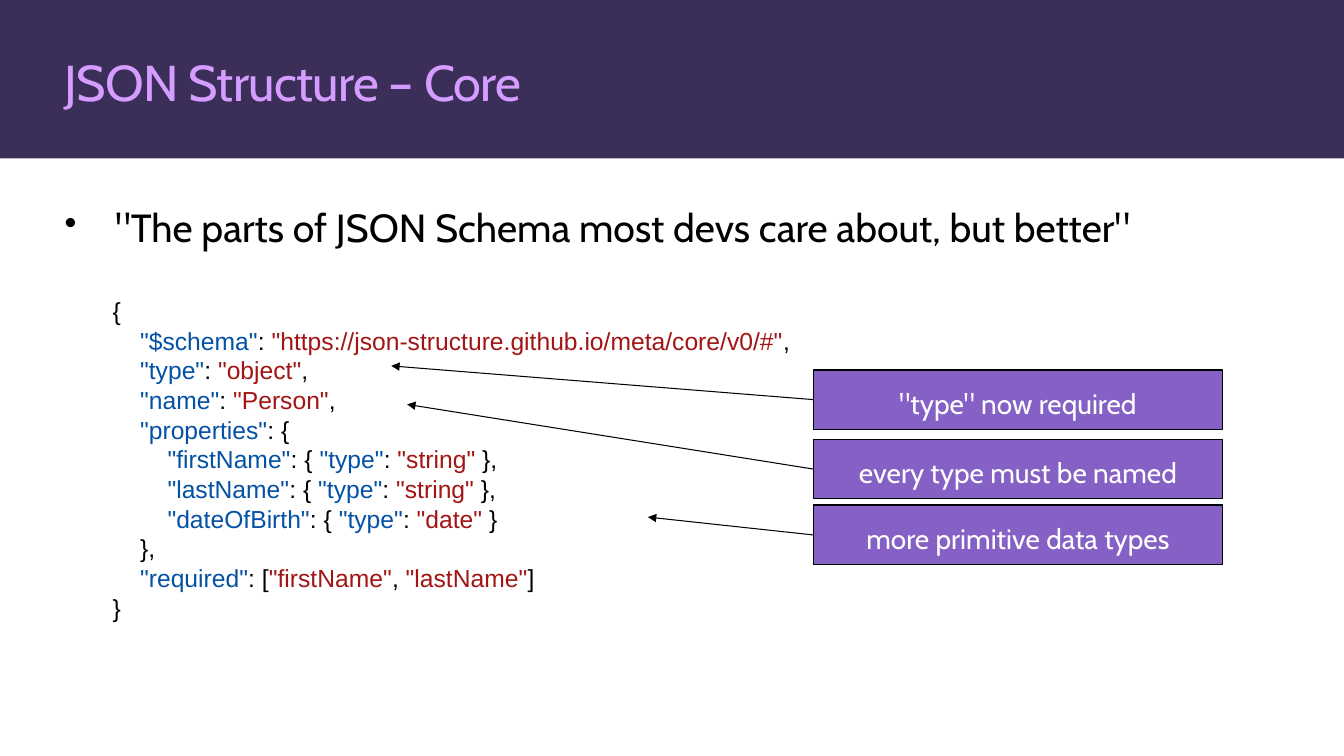
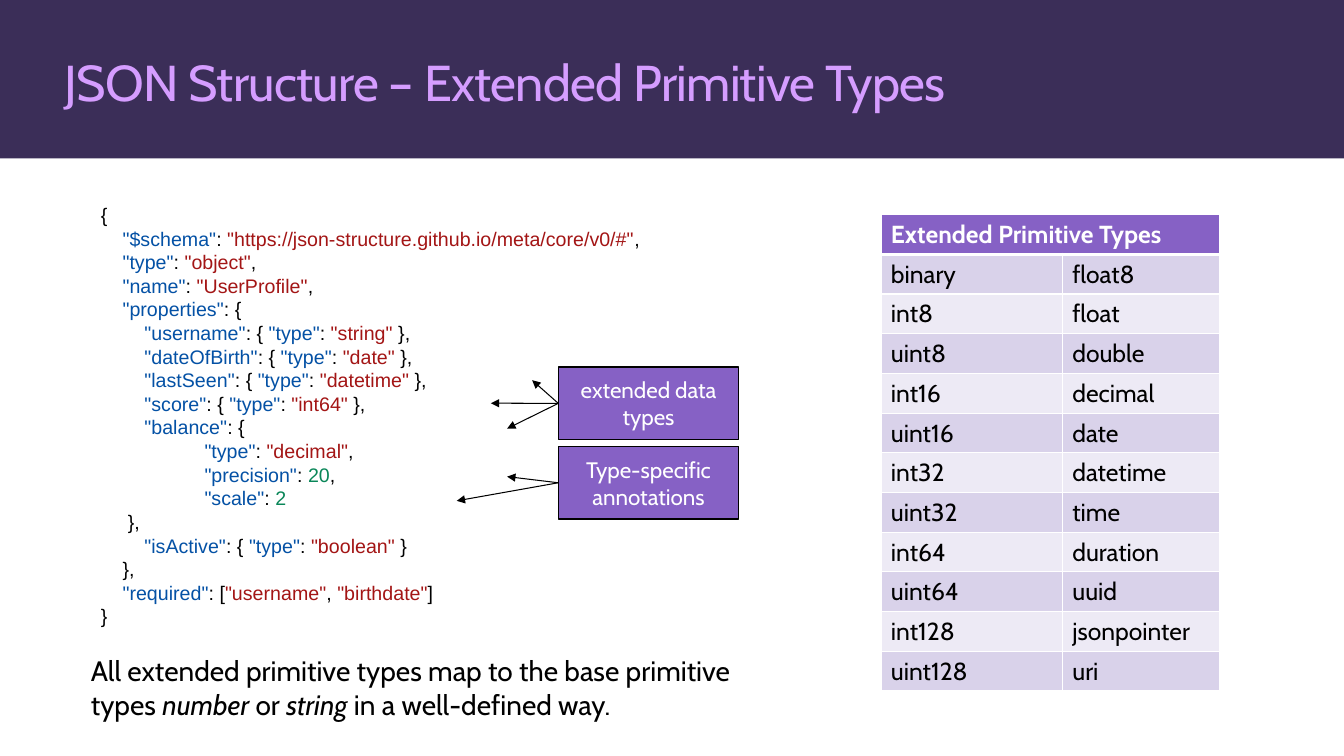
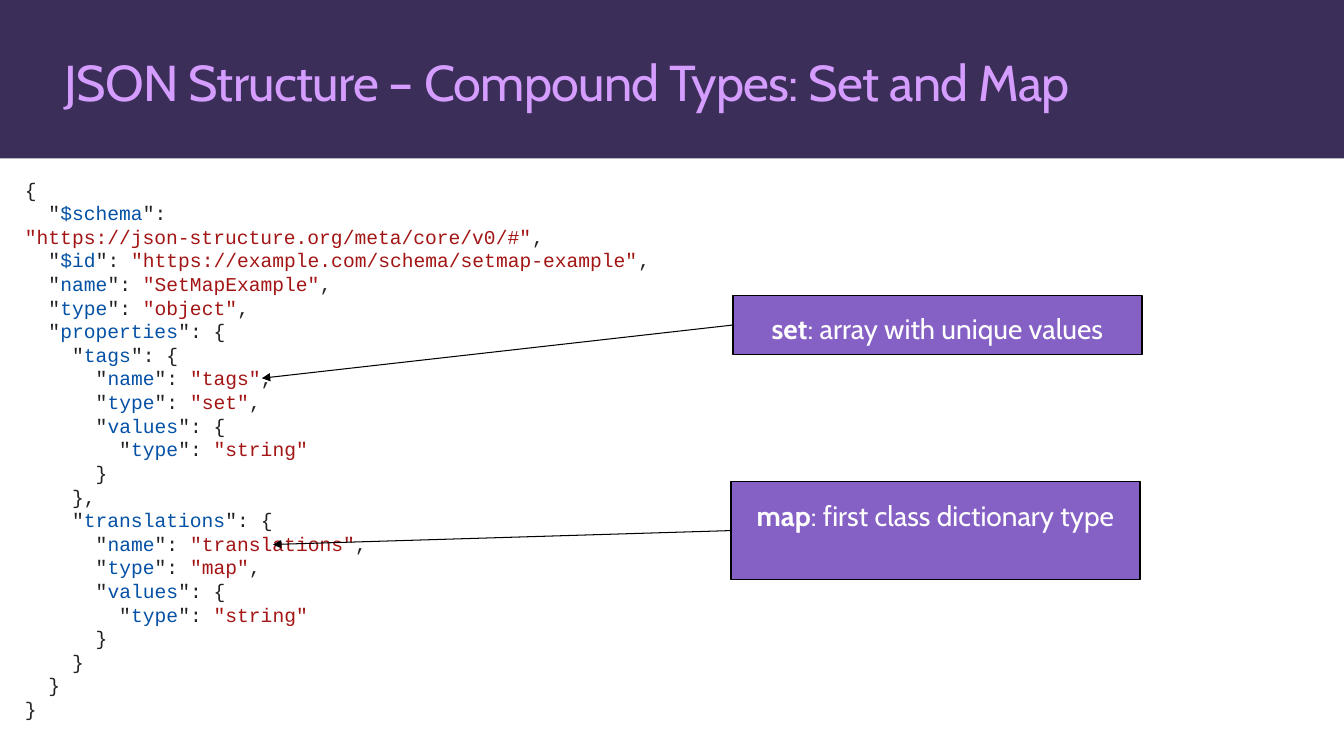
"""Builds three slides on the JSON Structure type system."""
from dataclasses import dataclass
from itertools import groupby

from lxml.etree import SubElement
from pptx import Presentation
from pptx.dml.color import RGBColor
from pptx.enum.shapes import MSO_CONNECTOR, MSO_SHAPE
from pptx.enum.text import MSO_ANCHOR, PP_ALIGN
from pptx.oxml.ns import qn
from pptx.util import Cm, Pt


@dataclass(frozen=True)
class Theme:
    font: str = "Cabin"
    band: str = "3B2E58"
    title: str = "D59DFF"
    accent: str = "8661C5"
    row_dark: str = "D9D2EA"
    row_light: str = "EDEAF5"
    black: str = "000000"
    white: str = "FFFFFF"
    mono_ink: str = "222222"
    key: str = "0451A5"
    value: str = "A31515"
    number: str = "098658"
    title_size: float = 36
    body_size: float = 28
    note_size: float = 20
    label_size: float = 16
    table_size: float = 17.6
    code_leading: float = 1.205


class Deck:
    def __init__(self, theme):
        self.t = theme
        self.prs = Presentation()
        self.prs.slide_width, self.prs.slide_height = Cm(33.87), Cm(19.05)
        self.s = None

    def slide(self, title):
        self.s = self.prs.slides.add_slide(self.prs.slide_layouts[6])
        self.rect(0, 0, 33.87, 3.99, self.t.band)
        tf = self.text(1.63, 1.27, 30.61, 1.55, [title], self.t.title_size, self.t.title)
        tf.vertical_anchor = MSO_ANCHOR.MIDDLE
        for r in tf.paragraphs[0].runs:
            r._r.get_or_add_rPr().set("spc", "-50")

    def run(self, p, text, size, color, font=None, bold=False, italic=False):
        r = p.add_run()
        r.text = text
        r.font.name = font or self.t.font
        r.font.size = Pt(size)
        r.font.bold, r.font.italic = bold, italic
        r.font.color.rgb = RGBColor.from_string(color)

    def runs(self, p, parts, size, color):
        for part in parts:
            text, style = (part, {}) if isinstance(part, str) else part
            self.run(p, text, size, color, **style)

    def frame(self, sp, inset_x, inset_y):
        tf = sp.text_frame
        tf.word_wrap = True
        tf.margin_left = tf.margin_right = Cm(inset_x)
        tf.margin_top = tf.margin_bottom = Cm(inset_y)
        return tf

    def box(self, x, y, w, h, inset_x=0, inset_y=0):
        sp = self.s.shapes.add_textbox(Cm(x), Cm(y), Cm(w), Cm(h))
        return self.frame(sp, inset_x, inset_y)

    def text(self, x, y, w, h, parts, size, color):
        tf = self.box(x, y, w, h)
        self.runs(tf.paragraphs[0], parts, size, color)
        return tf

    def bullet(self, x, y, w, h, text):
        p = self.box(x, y, w, h).paragraphs[0]
        pPr = p._p.get_or_add_pPr()
        pPr.set("marL", str(Cm(1.27)))
        pPr.set("indent", str(-Cm(1.27)))
        SubElement(pPr, qn("a:buSzPct")).set("val", "90000")
        SubElement(pPr, qn("a:buChar")).set("char", "•")
        self.run(p, text, self.t.body_size, self.t.black)

    def rect(self, x, y, w, h, fill, line=None):
        sp = self.s.shapes.add_shape(MSO_SHAPE.RECTANGLE, Cm(x), Cm(y), Cm(w), Cm(h))
        sp.shadow.inherit = False
        sp.fill.solid()
        sp.fill.fore_color.rgb = RGBColor.from_string(fill)
        if line:
            sp.line.color.rgb = RGBColor.from_string(line)
            sp.line.width = Pt(1)
        else:
            sp.line.fill.background()
        return sp

    def callout(self, x, y, w, h, parts, targets, size=None, anchor=MSO_ANCHOR.TOP):
        tf = self.frame(self.rect(x, y, w, h, self.t.accent, self.t.black), 0.51, 0.41)
        tf.vertical_anchor = anchor
        p = tf.paragraphs[0]
        p.alignment = PP_ALIGN.CENTER
        self.runs(p, parts, size or self.t.note_size, self.t.white)
        for target in targets:
            self.arrow((x, y + h / 2), target)

    def arrow(self, start, end):
        ln = self.s.shapes.add_connector(
            MSO_CONNECTOR.STRAIGHT, *(Cm(v) for v in (*start, *end)))
        ln.line.color.rgb = RGBColor.from_string(self.t.black)
        ln.line.width = Pt(0.75)
        SubElement(ln.line._get_or_add_ln(), qn("a:tailEnd")).set("type", "triangle")
        SubElement(ln._element.spPr, qn("a:effectLst"))

    def tokens(self, line, ink, quoted_keys):
        parts = line.split('"')
        for i, part in enumerate(parts):
            if i % 2 == 0:
                for digits, chars in groupby(part, str.isdigit):
                    yield "".join(chars), self.t.number if digits else ink
            elif not parts[i + 1].startswith(":"):
                yield f'"{part}"', self.t.value
            elif quoted_keys:
                yield f'"{part}"', self.t.key
            else:
                yield from (('"', ink), (part, self.t.key), ('"', ink))

    def code(self, x, y, w, h, source, size, font="Arial", ink=None, quoted_keys=True):
        tf = self.box(x, y, w, h, 0.25, 0.13)
        for i, line in enumerate(source.strip().splitlines()):
            p = tf.add_paragraph() if i else tf.paragraphs[0]
            p.line_spacing = Pt(size * self.t.code_leading)
            for text, color in self.tokens(line, ink or self.t.black, quoted_keys):
                self.run(p, text, size, color, font)

    def cell(self, cell, text, fill, color, bottom=1, bold=False):
        tcPr = cell._tc.get_or_add_tcPr()
        for side, width in (("L", 1), ("R", 1), ("T", 1), ("B", bottom)):
            ln = SubElement(tcPr, qn(f"a:ln{side}"), w=str(Pt(width)))
            SubElement(SubElement(ln, qn("a:solidFill")), qn("a:srgbClr"), val=self.t.white)
        cell.fill.solid()
        cell.fill.fore_color.rgb = RGBColor.from_string(fill)
        if text:
            self.run(cell.text_frame.paragraphs[0], text, self.t.table_size, color, bold=bold)

    def table(self, x, y, widths, row_height, heading, rows):
        n = len(rows) + 1
        tbl = self.s.shapes.add_table(
            n, len(widths), Cm(x), Cm(y), Cm(sum(widths)), Cm(n * row_height)).table
        tbl.first_row = tbl.horz_banding = False
        for col, width in zip(tbl.columns, widths):
            col.width = Cm(width)
        tbl.cell(0, 0).merge(tbl.cell(0, len(widths) - 1))
        for c in range(len(widths)):
            self.cell(tbl.cell(0, c), "" if c else heading, self.t.accent, self.t.white, 3, True)
        for i, row in enumerate(rows, 1):
            fill = self.t.row_dark if i % 2 else self.t.row_light
            for c, text in enumerate(row):
                self.cell(tbl.cell(i, c), text, fill, self.t.black)


PERSON = '''
{
    "$schema": "https://json-structure.github.io/meta/core/v0/#",
    "type": "object",
    "name": "Person",
    "properties": {
        "firstName": { "type": "string" },
        "lastName": { "type": "string" },
        "dateOfBirth": { "type": "date" }
    },
    "required": ["firstName", "lastName"]
}
'''

USER_PROFILE = '''
{
    "$schema": "https://json-structure.github.io/meta/core/v0/#",
    "type": "object",
    "name": "UserProfile",
    "properties": {
        "username": { "type": "string" },
        "dateOfBirth": { "type": "date" },
        "lastSeen": { "type": "datetime" },
        "score": { "type": "int64" },
        "balance": {
                   "type": "decimal",
                   "precision": 20,
                   "scale": 2
     },
        "isActive": { "type": "boolean" }
    },
    "required": ["username", "birthdate"]
}
'''

SET_MAP = '''
{
  "$schema": "https://json-structure.org/meta/core/v0/#",
  "$id": "https://example.com/schema/setmap-example",
  "name": "SetMapExample",
  "type": "object",
  "properties": {
    "tags": {
      "name": "tags",
      "type": "set",
      "values": {
        "type": "string"
      }
    },
    "translations": {
      "name": "translations",
      "type": "map",
      "values": {
        "type": "string"
      }
    }
  }
}
'''

EXTENDED_TYPES = [
    ("binary", "float8"), ("int8", "float"), ("uint8", "double"),
    ("int16", "decimal"), ("uint16", "date"), ("int32", "datetime"),
    ("uint32", "time"), ("int64", "duration"), ("uint64", "uuid"),
    ("int128", "jsonpointer"), ("uint128", "uri"),
]


def core_slide(deck):
    deck.slide("JSON Structure – Core")
    deck.bullet(1.63, 5.13, 30.61, 1.19,
                '"The parts of JSON Schema most devs care about, but better"')
    deck.code(2.59, 7.32, 29.87, 8.56, PERSON, 17.6)
    for y, label, target in (
        (9.32, '"type" now required', (9.86, 9.22)),
        (11.07, "every type must be named", (10.26, 10.19)),
        (12.73, "more primitive data types", (16.33, 13.03)),
    ):
        deck.callout(20.5, y, 10.31, 1.5, [label], [target])


def extended_types_slide(deck):
    deck.slide("JSON Structure – Extended Primitive Types")
    deck.code(2.29, 4.98, 19.48, 11.02, USER_PROFILE, 14)
    for y, label, targets in (
        (9.25, "extended data types", [(13.41, 9.58), (12.37, 10.16), (12.78, 10.8)]),
        (11.25, "Type-specific annotations", [(11.51, 12.62), (12.78, 12.01)]),
    ):
        deck.callout(14.07, y, 4.55, 1.83, [label], targets,
                     deck.t.label_size, MSO_ANCHOR.MIDDLE)
    deck.table(22.2, 5.41, (4.57, 3.96), 1, "Extended Primitive Types", EXTENDED_TYPES)
    italic = {"italic": True}
    deck.text(2.29, 16.48, 17.55, 1.7, [
        "All extended primitive types map to the base primitive types ",
        ("number", italic), " or ", ("string ", italic), "in a well-defined way.",
    ], deck.t.note_size, deck.t.black)


def set_map_slide(deck):
    deck.slide("JSON Structure – Compound Types: Set and Map")
    deck.code(0.38, 4.34, 17.3, 14.63, SET_MAP, 14, "Courier New", deck.t.mono_ink, False)
    bold = {"bold": True}
    deck.callout(18.47, 7.44, 10.31, 1.5,
                 [("set", bold), ": array with unique values"], [(6.6, 9.53)])
    deck.callout(18.42, 12.14, 10.31, 2.46,
                 [("map", bold), ": first class dictionary type"], [(6.88, 13.72)])


def main():
    deck = Deck(Theme())
    core_slide(deck)
    extended_types_slide(deck)
    set_map_slide(deck)
    deck.prs.save("out.pptx")


if __name__ == "__main__":
    main()
